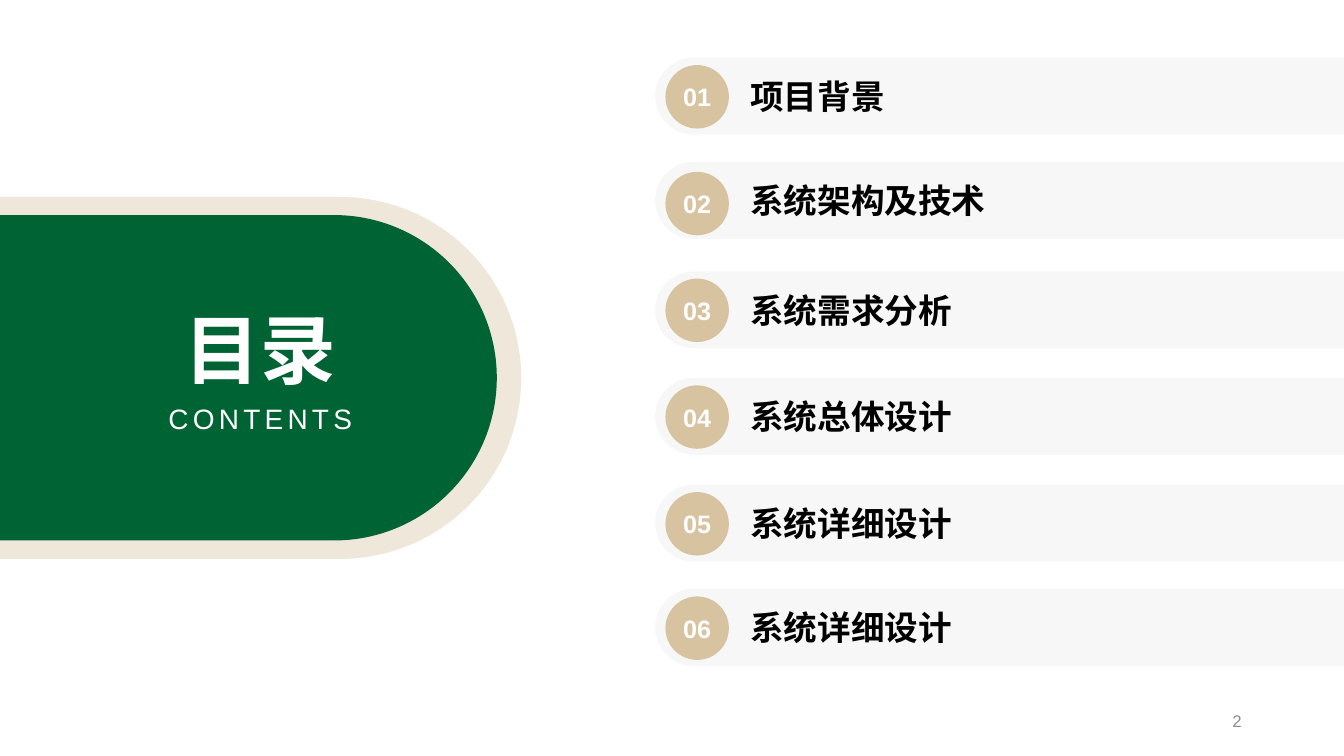
from dataclasses import dataclass

from lxml.etree import SubElement
from pptx import Presentation
from pptx.dml.color import RGBColor
from pptx.enum.shapes import MSO_SHAPE
from pptx.enum.text import MSO_ANCHOR, MSO_AUTO_SIZE, PP_ALIGN
from pptx.oxml.ns import qn
from pptx.util import Cm, Pt


@dataclass(frozen=True)
class Theme:
    font: str = "Arial"
    green: str = "006334"
    cream: str = "EFE7D9"
    tan: str = "D7C39F"
    black: str = "000000"
    white: str = "FFFFFF"
    gray: str = "8C8C8C"
    title: int = 54
    item: int = 24
    sub: int = 20
    number: int = 18
    page: int = 12


theme = Theme()


def paint(shape, color):
    shape.shadow.inherit = False
    shape.fill.solid()
    shape.fill.fore_color.rgb = RGBColor.from_string(color)
    shape.line.fill.background()


def write(shape, text, size, color, align, bold=False, inset=None):
    """Set one line of text; inset is left, top, right, bottom in cm."""
    frame = shape.text_frame
    frame.text = text
    frame.vertical_anchor = MSO_ANCHOR.MIDDLE
    if inset:
        (frame.margin_left, frame.margin_top,
         frame.margin_right, frame.margin_bottom) = map(Cm, inset)
    line = frame.paragraphs[0]
    line.alignment = align
    run = line.runs[0]
    run.font.size = Pt(size)
    run.font.bold = bold
    run.font.color.rgb = RGBColor.from_string(color)
    run.font.name = theme.font
    props = run._r.get_or_add_rPr()
    props.set("lang", "zh-CN")
    SubElement(props, qn("a:ea")).set("typeface", theme.font)
    return props


deck = Presentation()
deck.slide_width, deck.slide_height = Cm(33.87), Cm(19.05)
slide = deck.slides.add_slide(deck.slide_layouts[6])
shapes = slide.shapes

# Title panel: two half-round blocks turned to the right
panels = [
    (2.01, 2.96, 9.12, 13.13, theme.cream),
    (2.16, 3.26, 8.2, 12.52, theme.green),
]
for left, top, width, height, color in panels:
    panel = shapes.add_shape(MSO_SHAPE.ROUND_2_SAME_RECTANGLE,
                             Cm(left), Cm(top), Cm(width), Cm(height))
    panel.adjustments[0] = 0.5
    panel.adjustments[1] = 0
    panel.rotation = 90
    paint(panel, color)

# Title text
titles = [
    ("CONTENTS", 3.92, 9.99, 5.28, 1.11, theme.sub, False),
    ("目录", 4.38, 7.5, 4.37, 2.57, theme.title, True),
]
for text, left, top, width, height, size, bold in titles:
    box = shapes.add_textbox(Cm(left), Cm(top), Cm(width), Cm(height))
    props = write(box, text, size, theme.white, PP_ALIGN.CENTER, bold)
    box.text_frame.word_wrap = False
    box.text_frame.auto_size = MSO_AUTO_SIZE.SHAPE_TO_FIT_TEXT
    if not bold:
        props.set("spc", "300")

# Agenda rows: text, top of bar, top of disc
rows = [
    ("项目背景", 1.45, 1.64),
    ("系统架构及技术", 4.08, 4.33),
    ("系统需求分析", 6.84, 7.02),
    ("系统总体设计", 9.52, 9.71),
    ("系统详细设计", 12.21, 12.4),
    ("系统详细设计", 14.84, 15.03),
]
bar_left, bar_right, radius = 16.51, 34.29, 0.97
disc_left, disc_size = 16.77, 1.6

# Round left end: two quarter curves, in bar coordinates
pull = 0.45 * radius
curves = [
    [(radius - 0.55 * radius, 2 * radius), (0, 2 * radius - pull),
     (0, radius)],
    [(0, pull), (pull, 0), (radius, 0)],
]

for number, (text, top, disc_top) in enumerate(rows, 1):
    # Bar with a round left end
    pen = shapes.build_freeform(Cm(bar_left + radius), Cm(top))
    corners = [(bar_right, top), (bar_right, top + 2 * radius),
               (bar_left + radius, top + 2 * radius),
               (bar_left, top + radius)]
    pen.add_line_segments([(Cm(x), Cm(y)) for x, y in corners])
    bar = pen.convert_to_shape()
    paint(bar, theme.black)
    shape_props = bar._element.spPr
    outline = next(shape_props.iter(qn("a:path")))
    close = outline.find(qn("a:close"))
    outline.remove(outline.findall(qn("a:lnTo"))[-1])
    for curve in curves:
        bend = SubElement(outline, qn("a:cubicBezTo"))
        for x, y in curve:
            point = SubElement(bend, qn("a:pt"))
            point.set("x", str(Cm(x)))
            point.set("y", str(Cm(y)))
    outline.append(close)
    tint = next(shape_props.iter(qn("a:srgbClr")))
    SubElement(tint, qn("a:alpha")).set("val", "3000")
    write(bar, text, theme.item, theme.black, PP_ALIGN.LEFT, True,
          (2.4, 0.13, 0.25, 0.13))

    # Numbered disc
    disc = shapes.add_shape(MSO_SHAPE.ROUNDED_RECTANGLE, Cm(disc_left),
                            Cm(disc_top), Cm(disc_size), Cm(disc_size))
    disc.adjustments[0] = 0.5
    paint(disc, theme.tan)
    write(disc, f"{number:02}", theme.number, theme.white,
          PP_ALIGN.CENTER, True, (0, 0, 0, 0))

# Page number
page = shapes.add_textbox(Cm(23.92), Cm(17.65), Cm(7.62), Cm(1.02))
page.text_frame.word_wrap = True
write(page, "2", theme.page, theme.gray, PP_ALIGN.RIGHT)

deck.save("out.pptx")
